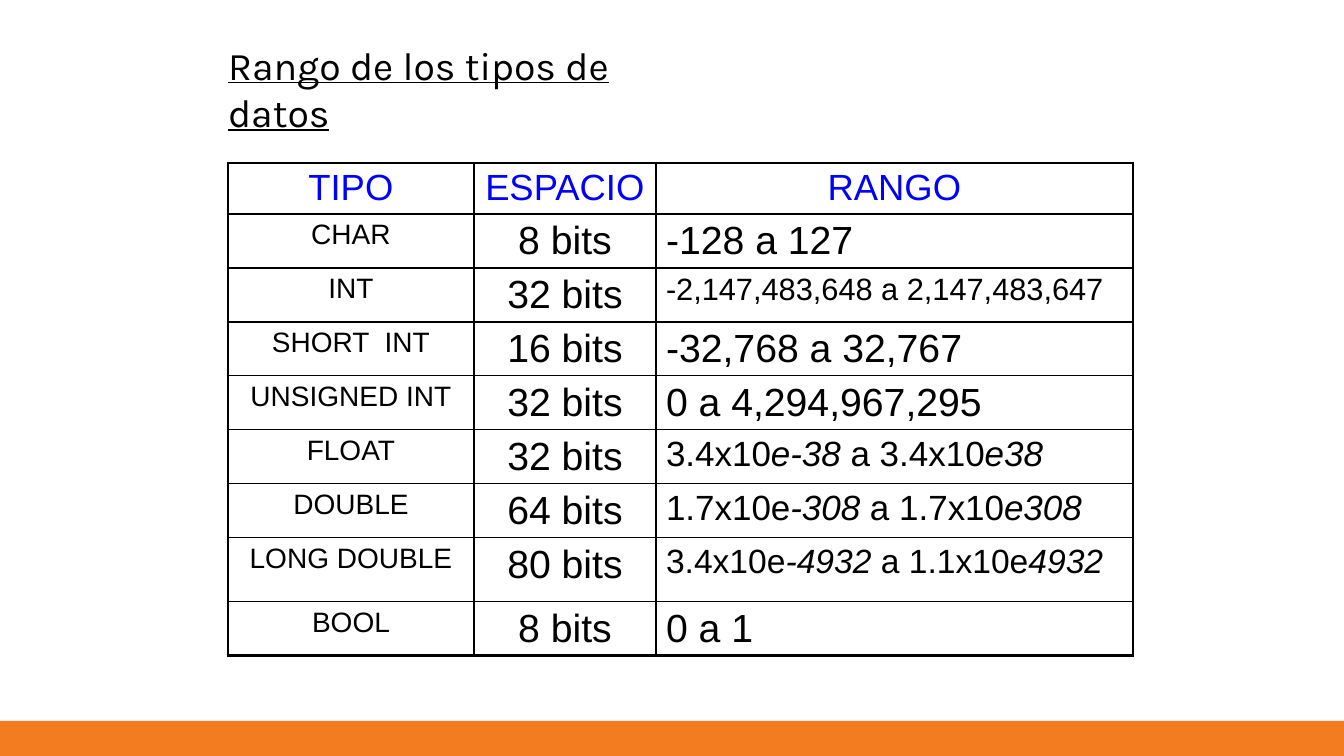
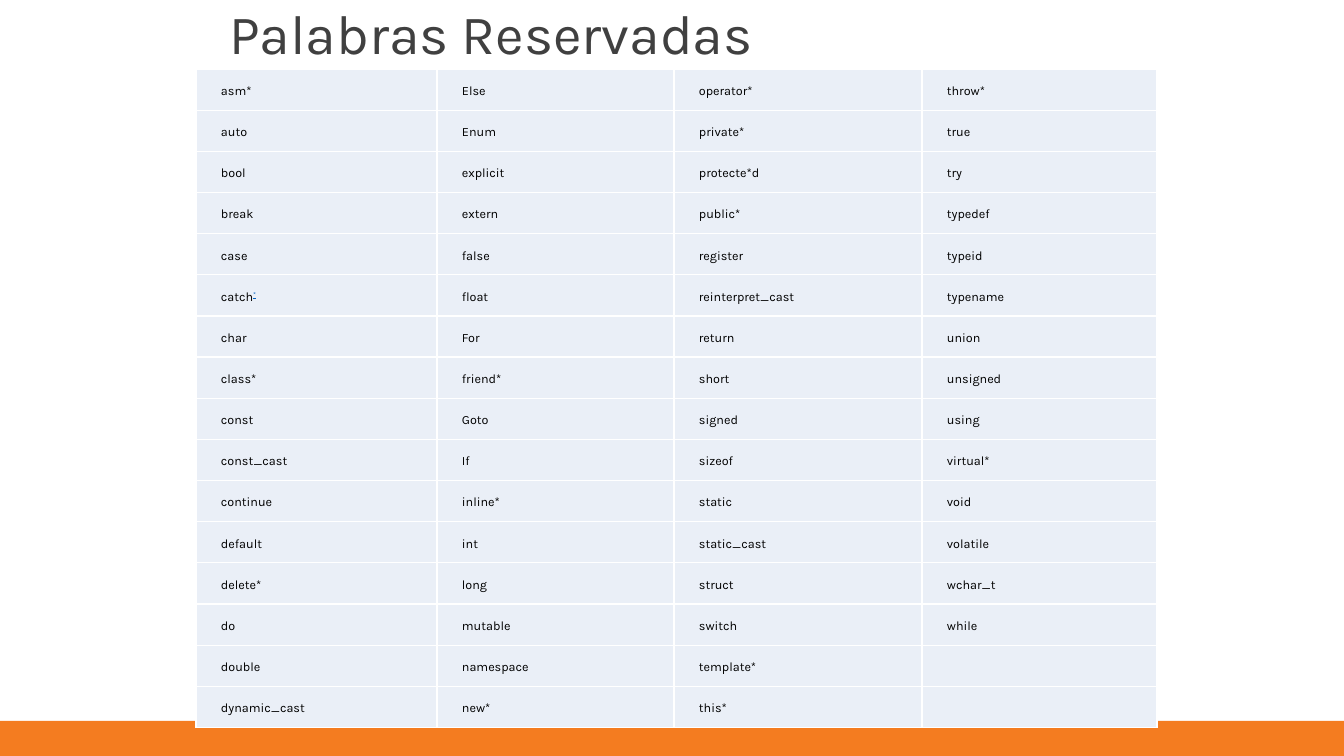
from itertools import zip_longest

from lxml import etree
from pptx import Presentation
from pptx.dml.color import RGBColor
from pptx.enum.shapes import MSO_SHAPE
from pptx.enum.text import MSO_ANCHOR, MSO_AUTO_SIZE, PP_ALIGN
from pptx.oxml.ns import qn
from pptx.util import Pt

RECT = MSO_SHAPE.RECTANGLE
LEFT, CENTER = PP_ALIGN.LEFT, PP_ALIGN.CENTER
TOP, MIDDLE = MSO_ANCHOR.TOP, MSO_ANCHOR.MIDDLE
NO_FIT = MSO_AUTO_SIZE.NONE

ORANGE = RGBColor(0xF4, 0x7C, 0x20)
BLACK = RGBColor(0x00, 0x00, 0x00)
GREY = RGBColor(0x40, 0x40, 0x40)
BLUE = RGBColor(0x00, 0x00, 0xFF)
LINK = RGBColor(0x05, 0x63, 0xC1)
PALE = RGBColor(0xEA, 0xEF, 0xF7)
WHITE = RGBColor(0xFF, 0xFF, 0xFF)

SLIDE_W, SLIDE_H, BAND_H = 1344, 756, 35
THIN, THICK = Pt(1), Pt(2.25)


def px(n):
    return round(n * 12192000 / SLIDE_W)


class Deck:
    """Shared style and the current slide."""

    def __init__(self):
        self.prs = Presentation()
        self.prs.slide_width, self.prs.slide_height = px(SLIDE_W), px(SLIDE_H)
        self.s = None

    def slide(self):
        self.s = self.prs.slides.add_slide(self.prs.slide_layouts[5])
        band = self.s.shapes.add_shape(RECT, 0, px(SLIDE_H - BAND_H), px(SLIDE_W), px(BAND_H))
        band.shadow.inherit = False
        band.fill.solid()
        band.fill.fore_color.rgb = ORANGE
        band.line.fill.background()

    def add_text(self, p, text, font, accent=None, **para):
        """Fill a paragraph; every second piece between bars takes the accent."""
        for name, value in para.items():
            setattr(p, name, value)
        for i, piece in enumerate(text.split("|")):
            r = p.add_run()
            r.text = piece
            values = {**font, **(accent or {})} if i % 2 else dict(font)
            r.font.color.rgb = values.pop("rgb", BLACK)
            if values.pop("superscript", False):
                r._r.get_or_add_rPr().set("baseline", "30000")
            for name, value in values.items():
                setattr(r.font, name, value)

    def title(self, x, y, w, h, text, font, anchor, spacing):
        sp = self.s.shapes.title
        sp.left, sp.top, sp.width, sp.height = map(px, (x, y, w, h))
        tf = sp.text_frame
        tf.word_wrap, tf.auto_size, tf.vertical_anchor = True, NO_FIT, anchor
        self.add_text(tf.paragraphs[0], text, {"name": "Karla", **font},
                      alignment=LEFT, line_spacing=spacing)

    def table(self, x, y, cols, n_rows, h):
        frame = self.s.shapes.add_table(n_rows, len(cols), px(x), px(y), px(sum(cols)), px(h))
        tbl = frame.table
        tbl.first_row = tbl.horz_banding = False
        for col, w in zip(tbl.columns, cols):
            col.width = px(w)
        return tbl

    def borders(self, tbl, color, inner, outer):
        last_row, last_col = len(tbl.rows) - 1, len(tbl.columns) - 1
        for i in range(last_row + 1):
            for j in range(last_col + 1):
                tcPr = tbl.cell(i, j)._tc.get_or_add_tcPr()
                edges = {"lnL": j == 0, "lnR": j == last_col,
                         "lnT": i == 0, "lnB": i == last_row}
                for k, (tag, is_outer) in enumerate(edges.items()):
                    ln = etree.Element(qn(f"a:{tag}"), w=str(outer if is_outer else inner))
                    fill = etree.SubElement(ln, qn("a:solidFill"))
                    etree.SubElement(fill, qn("a:srgbClr"), val=str(color))
                    tcPr.insert(k, ln)


# Data: type, space, range, size of the range text
TYPES = [
    ("CHAR", "8 bits", "-128 a 127", 28),
    ("INT", "32 bits", "-2,147,483,648 a 2,147,483,647", 22),
    ("SHORT  INT", "16 bits", "-32,768 a 32,767", 28),
    ("UNSIGNED INT", "32 bits", "0 a 4,294,967,295", 28),
    ("FLOAT", "32 bits", "3.4x10|e-38| a 3.4x10|e38", 25),
    ("DOUBLE", "64 bits", "1.7x10e|-308| a 1.7x10|e308", 25),
    ("LONG DOUBLE", "80 bits", "3.4x10e|-4932| a 1.1x10e|4932", 24),
    ("BOOL", "8 bits", "0 a 1", 28),
]
ROW_HEIGHTS = [51] + [54] * 6 + [64, 54]

# Reserved words, one string per column
WORDS = [
    "asm* auto bool break case catch|* char class* const const_cast continue default delete* "
    "do double dynamic_cast",
    "Else Enum explicit extern false float For friend* Goto If inline* int long mutable "
    "namespace new*",
    "operator* private* protecte*d public* register reinterpret_cast return short signed "
    "sizeof static static_cast struct switch template* this*",
    "throw* true try typedef typeid typename union unsigned using virtual* void volatile "
    "wchar_t while",
]


def ranges_slide(deck):
    deck.slide()
    deck.title(218, 36, 483, 104, "Rango de los tipos de datos",
               {"size": Pt(28), "underline": True}, TOP, 1.0)
    tbl = deck.table(228, 163, [246, 182, 477], len(ROW_HEIGHTS), sum(ROW_HEIGHTS))
    for row, h in zip(tbl.rows, ROW_HEIGHTS):
        row.height = px(h)
    rows = [(("TIPO", "ESPACIO", "RANGO"), (26, 26, 26), BLUE, CENTER)]
    rows += [(texts, (20, 28, size), BLACK, LEFT) for *texts, size in TYPES]
    for i, (texts, sizes, color, range_align) in enumerate(rows):
        for j, align in enumerate((CENTER, CENTER, range_align)):
            cell = tbl.cell(i, j)
            cell.fill.background()
            font = {"name": "Arial", "size": Pt(sizes[j]), "rgb": color}
            deck.add_text(cell.text_frame.paragraphs[0], texts[j], font,
                          {"italic": True}, alignment=align)
    deck.borders(tbl, BLACK, THIN, THICK)


def words_slide(deck):
    deck.slide()
    deck.title(219, 30, 700, 14, "Palabras Reservadas",
               {"size": Pt(39.6), "rgb": GREY}, MIDDLE, 0.9)
    rows = list(zip_longest(*(column.split() for column in WORDS), fillvalue=""))
    tbl = deck.table(196, 69, [241, 237, 248, 235], len(rows), 659)
    font = {"name": "Karla", "size": Pt(9)}
    link = {"rgb": LINK, "underline": True, "superscript": True}
    margins = {"margin_left": px(25), "margin_right": px(5), "margin_top": 0, "margin_bottom": 0}
    for i, row in enumerate(rows):
        for j, word in enumerate(row):
            cell = tbl.cell(i, j)
            cell.fill.solid()
            cell.fill.fore_color.rgb = PALE
            for name, value in margins.items():
                setattr(cell, name, value)
            if word:
                deck.add_text(cell.text_frame.paragraphs[0], word, font, link,
                              line_spacing=2.0, space_after=Pt(6))
    deck.borders(tbl, WHITE, THIN, THIN)


def main():
    deck = Deck()
    ranges_slide(deck)
    words_slide(deck)
    deck.prs.save("out.pptx")


if __name__ == "__main__":
    main()
